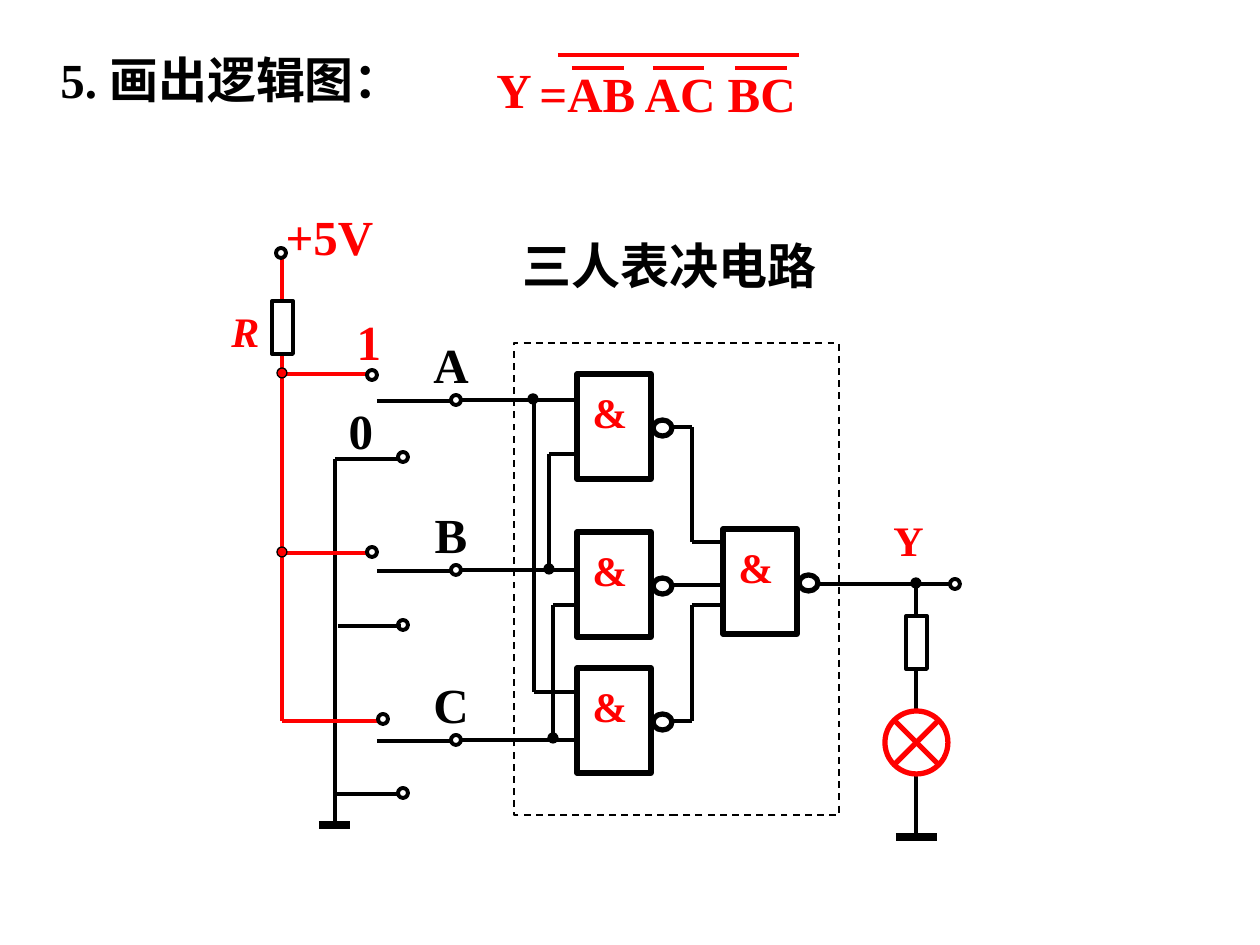
from itertools import pairwise

from lxml.etree import SubElement
from pptx import Presentation
from pptx.dml.color import RGBColor
from pptx.enum.dml import MSO_LINE
from pptx.enum.shapes import MSO_CONNECTOR, MSO_SHAPE as SHAPE
from pptx.enum.text import MSO_ANCHOR, PP_ALIGN
from pptx.oxml.ns import qn
from pptx.util import Pt

PX = 914400 // 126
BLACK = RGBColor(0, 0, 0)
RED = RGBColor(255, 0, 0)
WHITE = RGBColor(255, 255, 255)
LATIN, HAN = "Times New Roman", "Noto Sans CJK SC"

# Switch rows: label, label left, label width, centre line
INPUTS = [("A", 421, 60, 401), ("B", 422, 58, 571), ("C", 421, 60, 741)]
GATES = [(577, 374), (577, 532), (577, 668), (723, 529)]
GATE_W, GATE_H = 74, 105

RED_WIRES = [
    [(282, 258), (282, 721), (377, 721)],
    [(282, 374), (367, 374)],
    [(282, 553), (367, 553)],
]
BLACK_WIRES = [
    [(335, 825), (335, 459), (398, 459)],
    [(338, 626), (401, 626)],
    [(335, 794), (398, 794)],
    # crossing feeds to the second gate inputs
    [(549, 571), (549, 454), (579, 454)],
    [(553, 742), (553, 605), (577, 605)],
    [(534, 401), (534, 692), (577, 692)],
    # first-stage outputs
    [(672, 427), (692, 427), (692, 542), (723, 542)],
    [(672, 585), (723, 585)],
    [(672, 721), (692, 721), (692, 605), (723, 605)],
    # output and load
    [(815, 584), (952, 584)],
    [(916, 584), (916, 837)],
]
GROUNDS = [[(319, 825), (350, 825)], [(896, 837), (937, 837)]]
OVERBARS = [(572, 624, 68), (653, 704, 68), (735, 787, 68), (558, 799, 55)]

TERMINALS = [(281, 253), (372, 375), (372, 552), (383, 719),
             (403, 457), (403, 625), (403, 793), (955, 584)]
RED_DOTS = [(282, 373), (282, 552)]
BLACK_DOTS = [(533, 399), (549, 569), (553, 738), (916, 583)]
RESISTORS = [(272, 301), (906, 616)]

# text, box, size, colour, centred
LABELS = [
    ("三人表决电路", (509, 229, 321, 72), 28, BLACK, True),
    ("+5V", (273, 200, 113, 72), 28, RED, True),
    ("1", (344, 305, 50, 72), 28, RED, True),
    ("0", (336, 394, 50, 72), 28, BLACK, True),
    ("Y", (881, 508, 55, 63), 24, RED, True),
    ("=AB AC BC", (527, 57, 346, 72), 28, RED, False),
    ("Y", (484, 53, 103, 72), 28, RED, False),
]

prs = Presentation()
prs.slide_width, prs.slide_height = 1260 * PX, 945 * PX
s = prs.slides.add_slide(prs.slide_layouts[6])


def emu(*lengths):
    return [n * PX for n in lengths]


def wire(points, color=BLACK, width=2.25):
    """Join the points one after another with straight connectors."""
    for a, b in pairwise(points):
        c = s.shapes.add_connector(MSO_CONNECTOR.STRAIGHT, *emu(*a, *b))
        c.line.color.rgb = color
        c.line.width = Pt(width)
        SubElement(c._element.spPr, qn("a:effectLst"))


def part(kind, box, fill=None, line=BLACK, width=2.25):
    sp = s.shapes.add_shape(kind, *emu(*box))
    sp.shadow.inherit = False
    if fill is None:
        sp.fill.background()
    else:
        sp.fill.solid()
        sp.fill.fore_color.rgb = fill
    sp.line.color.rgb = line
    sp.line.width = Pt(width)
    return sp


def dot(center, **style):
    x, y = center
    part(SHAPE.OVAL, (x - 5, y - 5, 10, 10), **style)


def label(runs, box, size, color, centered=True, wrap=False):
    """Add a one-line bold text box; runs are (text, font) pairs."""
    tf = s.shapes.add_textbox(*emu(*box)).text_frame
    tf.word_wrap = wrap
    tf.vertical_anchor = MSO_ANCHOR.MIDDLE
    p = tf.paragraphs[0]
    p.alignment = PP_ALIGN.CENTER if centered else PP_ALIGN.LEFT
    p.font.size = Pt(size)
    p.font.bold = True
    p.font.color.rgb = color
    for text, font in runs:
        r = p.add_run()
        r.text = text
        r.font.name = font
        SubElement(r._r.get_or_add_rPr(), qn("a:ea"), typeface=HAN)
    return p


label([("5. ", LATIN), ("画出逻辑图：", HAN)], (48, 38, 377, 81), 28, BLACK,
      centered=False, wrap=True)

frame = part(SHAPE.RECTANGLE, (514, 343, 325, 472), width=1)
frame.line.dash_style = MSO_LINE.DASH

for points in BLACK_WIRES:
    wire(points)
for points in RED_WIRES:
    wire(points, RED)
for points in GROUNDS:
    wire(points, width=4.5)

for name, left, width, y in INPUTS:
    wire([(377, y), (451, y)])
    wire([(461, y - 1), (514, y - 1)])
    wire([(514, y - 1), (577, y - 1)])
    dot((456, y - 1))
    label([(name, LATIN)], (left, y - 73, width, 72), 28, BLACK)

for x, y in GATES:
    part(SHAPE.RECTANGLE, (x, y, GATE_W, GATE_H), width=3)
    part(SHAPE.OVAL, (x + GATE_W + 2, y + 46, 19, 16), width=3)
    label([("&", LATIN)], (x + 3, y + 6, 60, 63), 24, RED)

for x, y in RESISTORS:
    part(SHAPE.RECTANGLE, (x, y, 21, 53), fill=WHITE)
part(SHAPE.FLOWCHART_SUMMING_JUNCTION, (885, 711, 63, 63), WHITE, RED, 3)

for center in TERMINALS:
    dot(center)
for centers, color in ((RED_DOTS, RED), (BLACK_DOTS, BLACK)):
    for center in centers:
        dot(center, fill=color, width=0.75)

for text, box, size, color, centered in LABELS:
    label([(text, LATIN)], box, size, color, centered, wrap=not centered)
label([("R", LATIN)], (219, 299, 53, 63), 24, RED, False).font.italic = True

for x1, x2, y in OVERBARS:
    wire([(x1, y), (x2, y)], RED)

prs.save("out.pptx")
